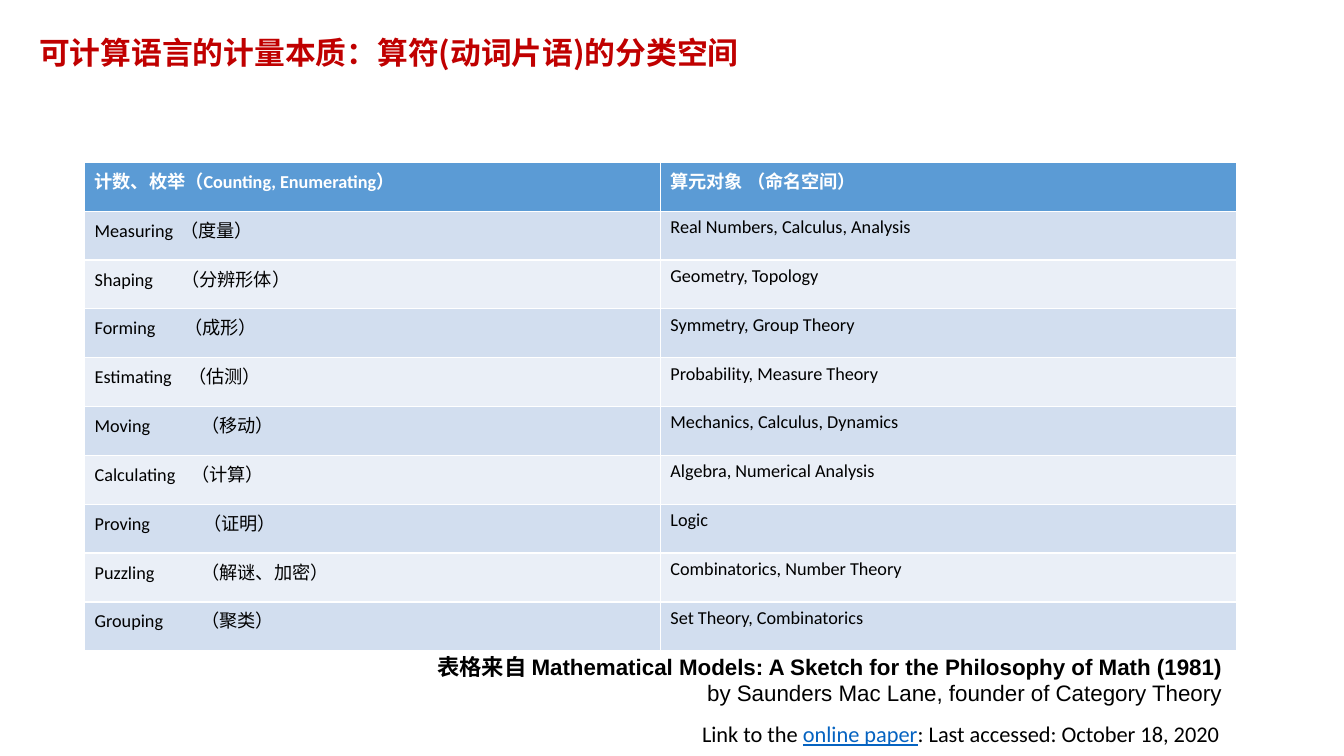
"""Build the slide that sorts mathematical verbs by the objects they act on."""
from lxml.etree import SubElement
from pptx import Presentation
from pptx.dml.color import RGBColor
from pptx.enum.text import MSO_ANCHOR, MSO_AUTO_SIZE, PP_ALIGN
from pptx.oxml.ns import qn
from pptx.util import Inches, Pt

CJK_FONT = "Noto Sans CJK SC"


def color(hex_code):
    return RGBColor.from_string(hex_code)


def add_run(paragraph, text, font_name, size, hex_code, **extras):
    run = paragraph.add_run()
    run.text = text
    run.font.color.rgb = color(hex_code)
    for key, value in {"name": font_name, "size": Pt(size), **extras}.items():
        setattr(run.font, key, value)
    SubElement(run.font._element, qn("a:ea"), typeface=CJK_FONT)


prs = Presentation()
prs.slide_width, prs.slide_height = Inches(13.34), Inches(7.5)
slide = prs.slides.add_slide(prs.slide_layouts[5])

title = slide.shapes.title
title_place = {"left": 0.29, "top": 0.29, "width": 12.01, "height": 0.51}
for side, length in title_place.items():
    setattr(title, side, Inches(length))
title.text_frame.vertical_anchor = MSO_ANCHOR.MIDDLE
heading = title.text_frame.paragraphs[0]
heading.alignment = PP_ALIGN.LEFT
heading.line_spacing = 0.9
add_run(heading, "可计算语言的计量本质：算符(动词片语)的分类空间",
        CJK_FONT, 22, "C00000", bold=True)

captions = [
    (4.24, 6.43, 8.72, True, [
        ("表格来自 Mathematical Models: A Sketch for the Philosophy of Math (1981)",
         "Arial", "000000", {"bold": True})]),
    (6.92, 6.69, 5.35, True, [
        ("by Saunders Mac Lane, founder of Category Theory", "Arial", "000000", {})]),
    (6.87, 7.1, 5.4, False, [
        ("Link to the ", "Calibri", "000000", {}),
        ("online paper", "Calibri", "0563C1", {"underline": True}),
        (": Last accessed: October 18, 2020", "Calibri", "000000", {})]),
]
for left, top, width, wraps, parts in captions:
    caption = slide.shapes.add_textbox(
        Inches(left), Inches(top), Inches(width), Inches(0.37)).text_frame
    caption.word_wrap = wraps
    caption.auto_size = MSO_AUTO_SIZE.SHAPE_TO_FIT_TEXT
    for text, font_name, hex_code, extras in parts:
        add_run(caption.paragraphs[0], text, font_name, 16, hex_code, **extras)

activities = [
    ("计数、枚举（Counting, Enumerating）", "算元对象 （命名空间）", None),
    ("Measuring\t（度量）", "Real Numbers, Calculus, Analysis", 0.85),
    ("Shaping\t（分辨形体）", "Geometry, Topology", 0.86),
    ("Forming\t（成形）", "Symmetry, Group Theory", 0.89),
    ("Estimating\t（估测）", "Probability, Measure Theory", 0.93),
    ("Moving\t（移动）", "Mechanics, Calculus, Dynamics", 1.06),
    ("Calculating\t（计算）", "Algebra, Numerical Analysis", 0.96),
    ("Proving\t（证明）", "Logic", 1.08),
    ("Puzzling\t（解谜、加密）", "Combinatorics, Number Theory", 1.06),
    ("Grouping\t（聚类）", "Set Theory, Combinatorics", 1.06),
]
table = slide.shapes.add_table(
    len(activities), 2, Inches(0.84), Inches(1.61), Inches(11.43), Inches(4.85)).table
for row, (verb, objects, tab_stop) in enumerate(activities):
    is_header = row == 0
    band = "5B9BD5" if is_header else ("EAEFF7", "D2DEEF")[row % 2]
    for column, text in enumerate((verb, objects)):
        cell = table.cell(row, column)
        cell.fill.solid()
        cell.fill.fore_color.rgb = color(band)
        entry = cell.text_frame.paragraphs[0]
        if "\t" in text:
            tabs = SubElement(entry._p.get_or_add_pPr(), qn("a:tabLst"))
            SubElement(tabs, qn("a:tab"), pos=str(Inches(tab_stop)), algn="l")
        add_run(entry, text, "Calibri", 13,
                "FFFFFF" if is_header else "000000", bold=is_header)

prs.save("out.pptx")
